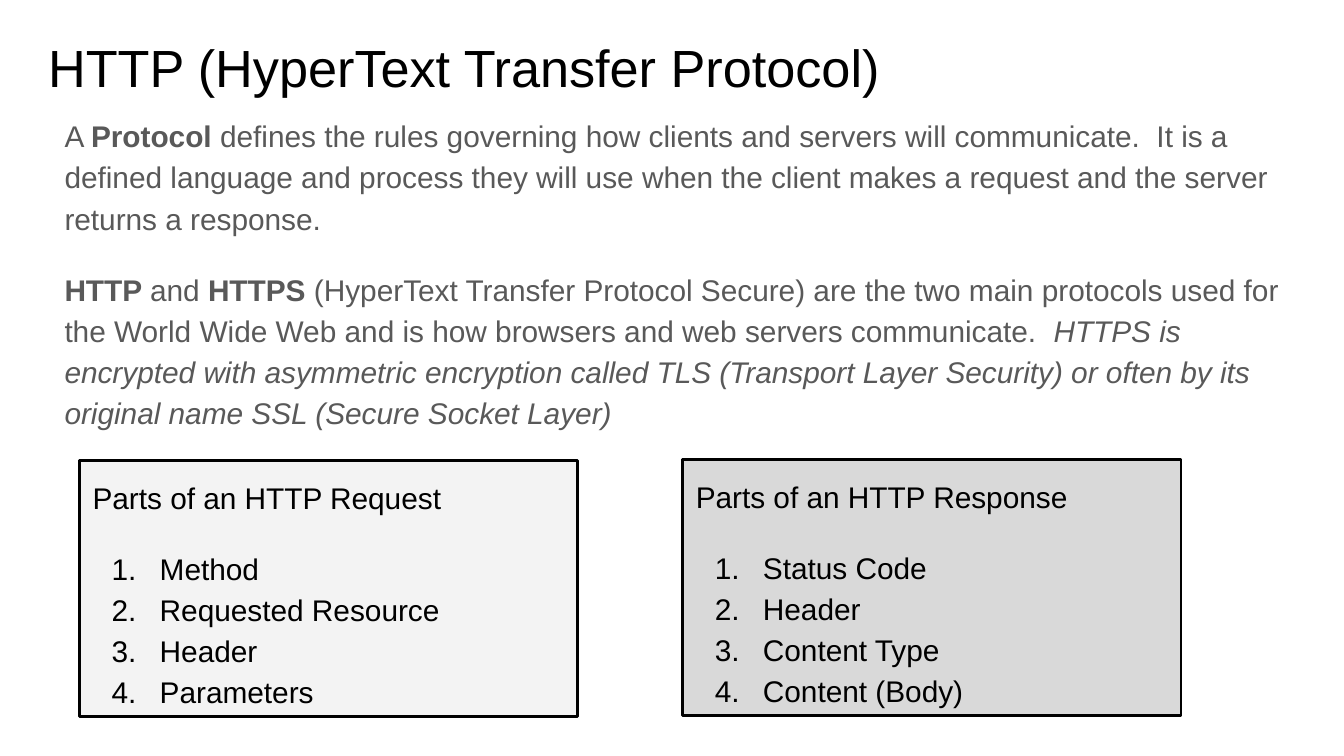
"""Build a slide that introduces HTTP and the parts of its requests and responses."""
from lxml.etree import SubElement
from pptx import Presentation
from pptx.dml.color import RGBColor
from pptx.enum.shapes import MSO_SHAPE as Shape
from pptx.enum.text import MSO_ANCHOR as Anchor, PP_ALIGN as Align
from pptx.oxml.ns import qn
from pptx.util import Cm, Pt

BLACK = RGBColor(0x00, 0x00, 0x00)
GRAY = RGBColor(0x59, 0x59, 0x59)
LIGHT_FILL = RGBColor(0xF3, 0xF3, 0xF3)
DARK_FILL = RGBColor(0xD9, 0xD9, 0xD9)
INSET = Cm(0.25)
TEXT_WIDTH = Cm(23.67)

TITLE = "HTTP (HyperText Transfer Protocol)"
BODY = [
    [
        ("A ", ""),
        ("Protocol ", "bold"),
        ("defines the rules governing how clients and servers will communicate.  "
         "It is a defined language and process they will use when the client makes "
         "a request and the server returns a response.", ""),
    ],
    [
        ("HTTP ", "bold"),
        ("and ", ""),
        ("HTTPS ", "bold"),
        ("(HyperText Transfer Protocol Secure) are the two main protocols used for "
         "the World Wide Web and is how browsers and web servers communicate.  ", ""),
        ("HTTPS is encrypted with asymmetric encryption called TLS (Transport Layer "
         "Security) or often by its original name SSL (Secure Socket Layer)", "italic"),
    ],
]
REQUEST_PARTS = ["Method", "Requested Resource", "Header", "Parameters"]
RESPONSE_PARTS = ["Status Code", "Header", "Content Type", "Content (Body)"]


def prepare_frame(shape):
    """Set the wrapping, anchor and insets of a shape and return its text frame."""
    frame = shape.text_frame
    frame.word_wrap = True
    frame.vertical_anchor = Anchor.TOP
    frame.margin_left = frame.margin_right = INSET
    frame.margin_top = frame.margin_bottom = INSET
    return frame


def add_numbering(paragraph):
    """Give a paragraph a hanging indent and an automatic number."""
    properties = paragraph._p.get_or_add_pPr()
    properties.set("marL", str(Cm(1.27)))
    properties.set("indent", str(Cm(-0.91)))
    color = SubElement(properties, qn("a:buClr"))
    SubElement(color, qn("a:srgbClr"), val=str(BLACK))
    SubElement(properties, qn("a:buFont"), typeface="Arial")
    SubElement(properties, qn("a:buAutoNum"), type="arabicPeriod")


def add_paragraph(frame, index, runs, color, size=16, line_spacing=1.15,
                  space_before=0, numbered=False):
    """Write one paragraph from pairs of text and style."""
    paragraph = frame.add_paragraph() if index else frame.paragraphs[0]
    paragraph.alignment = Align.LEFT
    paragraph.line_spacing = line_spacing
    paragraph.space_before = Pt(space_before)
    if numbered:
        add_numbering(paragraph)
    paragraph.font.name = "Arial"
    paragraph.font.size = Pt(size)
    paragraph.font.color.rgb = color
    for text, style in runs:
        run = paragraph.add_run()
        run.text = text
        if style:
            setattr(run.font, style, True)


def add_title(slide):
    """Add the slide title."""
    box = slide.shapes.add_textbox(Cm(0.66), Cm(0.41), TEXT_WIDTH, Cm(1.6))
    add_paragraph(prepare_frame(box), 0, [(TITLE, "")], BLACK, size=28, line_spacing=1.0)


def add_body(slide):
    """Add the explanatory paragraphs."""
    box = slide.shapes.add_textbox(Cm(0.97), Cm(1.88), TEXT_WIDTH, Cm(6.3))
    frame = prepare_frame(box)
    for index, runs in enumerate(BODY):
        add_paragraph(frame, index, runs, GRAY, space_before=16 if index else 0)


def add_parts_box(slide, left, top, fill, heading, parts):
    """Add an outlined box with a heading and a numbered list."""
    box = slide.shapes.add_shape(Shape.RECTANGLE, left, top, Cm(9.42), Cm(4.83))
    box.shadow.inherit = False
    box.fill.solid()
    box.fill.fore_color.rgb = fill
    box.line.color.rgb = BLACK
    box.line.width = Pt(1.5)
    frame = prepare_frame(box)
    add_paragraph(frame, 0, [(heading, "")], BLACK)
    for index, part in enumerate(parts, start=1):
        add_paragraph(frame, index, [(part, "")], BLACK,
                      space_before=16 if index == 1 else 0, numbered=True)


def main():
    """Create the presentation and save it."""
    presentation = Presentation()
    presentation.slide_width = Cm(25.4)
    presentation.slide_height = Cm(14.29)
    slide = presentation.slides.add_slide(presentation.slide_layouts[6])
    add_title(slide)
    add_body(slide)
    add_parts_box(slide, Cm(1.5), Cm(8.71), LIGHT_FILL,
                  "Parts of an HTTP Request", REQUEST_PARTS)
    add_parts_box(slide, Cm(12.9), Cm(8.69), DARK_FILL,
                  "Parts of an HTTP Response", RESPONSE_PARTS)
    presentation.save("out.pptx")


if __name__ == "__main__":
    main()
